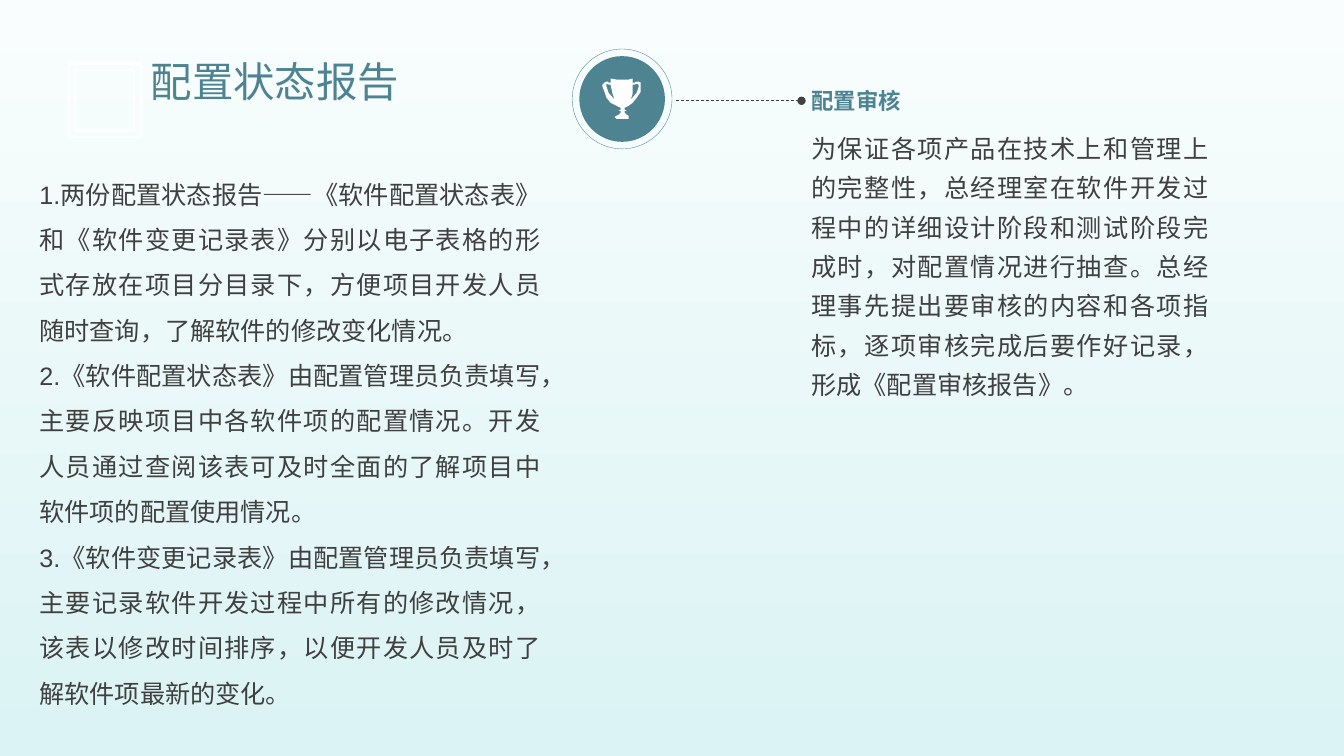
from lxml import etree
from pptx import Presentation
from pptx import util as u
from pptx.dml.color import RGBColor
from pptx.enum import dml, shapes, text
from pptx.oxml import ns

TEAL = RGBColor(0x4E, 0x84, 0x92)
GRAY = RGBColor(0x40, 0x40, 0x40)
WHITE = RGBColor(0xFF, 0xFF, 0xFF)
BACKGROUND = [RGBColor(0xF9, 0xFD, 0xFD), RGBColor(0xDB, 0xF3, 0xF4)]
CJK = "Noto Sans CJK SC"


def write(box, lines, frame_format, para_format, font_format, color):
    frame = box.text_frame
    frame.text = "\n".join(lines)
    for name, value in frame_format.items():
        setattr(frame, name, value)
    for para in frame.paragraphs:
        for name, value in para_format.items():
            setattr(para, name, value)
        for span in para.runs:
            for name, value in font_format.items():
                setattr(span.font, name, value)
            span.font.color.rgb = color
            east_asian = etree.SubElement(span.font._element, ns.qn("a:ea"))
            east_asian.set("typeface", CJK)


def paint(shape, fill=None, line=None, width=0):
    shape.shadow.inherit = False
    if fill is None:
        shape.fill.background()
    else:
        shape.fill.solid()
        shape.fill.fore_color.rgb = fill
    if line is None:
        shape.line.fill.background()
    else:
        shape.line.color.rgb = line
        shape.line.width = u.Pt(width)


deck = Presentation()
deck.slide_width, deck.slide_height = u.Pt(960.5), u.Pt(540)
page = deck.slides.add_slide(deck.slide_layouts[5])
backdrop = page.background.fill
backdrop.gradient()
backdrop.gradient_angle = 270
for stop, color in zip(backdrop.gradient_stops, BACKGROUND):
    stop.color.rgb = color

# Corner ornament and title
ornament = page.shapes.add_shape(
    shapes.MSO_SHAPE.FRAME, u.Pt(49), u.Pt(45.4), u.Pt(51.5), u.Pt(52.5))
ornament.adjustments[0] = 0.09
paint(ornament, line=WHITE, width=1.5)

title = page.shapes.title
title.left, title.top, title.width, title.height = map(u.Pt, (100.5, 40.3, 387.4, 44.6))
write(title, ["配置状态报告"],
      {"margin_top": u.Pt(3.6), "margin_bottom": 0, "word_wrap": True,
       "vertical_anchor": text.MSO_ANCHOR.TOP, "auto_size": text.MSO_AUTO_SIZE.NONE},
      {"alignment": text.PP_ALIGN.LEFT, "line_spacing": 0.9},
      {"size": u.Pt(29.6), "name": "Arial"}, TEAL)

# Dashed lead from the badge to the audit heading
lead = page.shapes.add_connector(
    shapes.MSO_CONNECTOR.STRAIGHT, u.Pt(483.1), u.Pt(72), u.Pt(572.8), u.Pt(72))
lead.line.color.rgb = GRAY
lead.line.width = u.Pt(0.5)
lead.line.dash_style = dml.MSO_LINE.DASH
etree.SubElement(lead.line._get_or_add_ln(), ns.qn("a:tailEnd")).set("type", "oval")
etree.SubElement(lead._element.spPr, ns.qn("a:effectLst"))

# Trophy badge: disc and ring share one centre
for diameter, style in [(61.2, {"fill": TEAL}), (71.3, {"line": TEAL, "width": 0.25})]:
    circle = page.shapes.add_shape(
        shapes.MSO_SHAPE.OVAL, u.Pt(444.6 - diameter / 2), u.Pt(70.7 - diameter / 2),
        u.Pt(diameter), u.Pt(diameter))
    paint(circle, **style)

# Trophy in units of 0.72 pt, x measured from its axis of symmetry
AXIS = 617.5
HALF_CUP = [
    (0, 79), (6, 79), (11, 78), (11, 82.5), (13, 82.5), (14, 81), (16, 81), (18, 82),
    (19, 84), (19, 86), (18, 91), (15, 97), (11, 102), (6, 105), (4, 106.5), (2, 107),
    (2, 109), (4, 109.5), (2, 110.5), (2, 112), (4, 113.5), (4, 114.5), (6, 115),
    (7, 116.5), (6, 118), (0, 118)]
HANDLE_GAP = [(11, 84), (13, 84.5), (15, 83), (16, 84), (16, 86), (14, 92), (8, 99), (10, 93)]
cup = HALF_CUP + [(-x, y) for x, y in reversed(HALF_CUP)]
contours = [[(AXIS + x, y) for x, y in outline]
            for outline in (cup, HANDLE_GAP, [(-x, y) for x, y in HANDLE_GAP])]
builder = page.shapes.build_freeform(*contours[0][0], scale=u.Pt(0.72))
for index, contour in enumerate(contours):
    if index:
        builder.move_to(*contour[0])
    builder.add_line_segments(contour[1:], close=True)
paint(builder.convert_to_shape(), fill=WHITE)

# Body texts
REPORTS = [
    "1.两份配置状态报告——《软件配置状态表》和《软件变更记录表》分别以电子表格的形式存放在项目分目录下，方便项目开发人员随时查询，了解软件的修改变化情况。",
    "2.《软件配置状态表》由配置管理员负责填写，主要反映项目中各软件项的配置情况。开发人员通过查阅该表可及时全面的了解项目中软件项的配置使用情况。",
    "3.《软件变更记录表》由配置管理员负责填写，主要记录软件开发过程中所有的修改情况，该表以修改时间排序，以便开发人员及时了解软件项最新的变化。",
]
AUDIT = [
    "为保证各项产品在技术上和管理上的完整性，总经理室在软件开发过程中的详细设计阶段和测试阶段完成时，对配置情况进行抽查。总经理事先提出要审核的内容和各项指标，逐项审核完成后要作好记录，形成《配置审核报告》。",
]
for lines, spacing, bounds in [
    (REPORTS, 1.5, (21, 113.5, 372.6, 396)),
    (AUDIT, 1.3, (572.8, 85.3, 298.1, 203.8)),
]:
    body = page.shapes.add_textbox(*map(u.Pt, bounds))
    write(body, lines, {"word_wrap": True},
          {"alignment": text.PP_ALIGN.JUSTIFY, "line_spacing": spacing},
          {"size": u.Pt(18), "name": "Arial"}, GRAY)

heading = page.shapes.add_textbox(u.Pt(572.8), u.Pt(58.3), u.Pt(82), u.Pt(26.6))
write(heading, ["配置审核"],
      {"word_wrap": True, "vertical_anchor": text.MSO_ANCHOR.BOTTOM}, {},
      {"size": u.Pt(16), "name": CJK, "bold": True}, TEAL)

deck.save("out.pptx")
